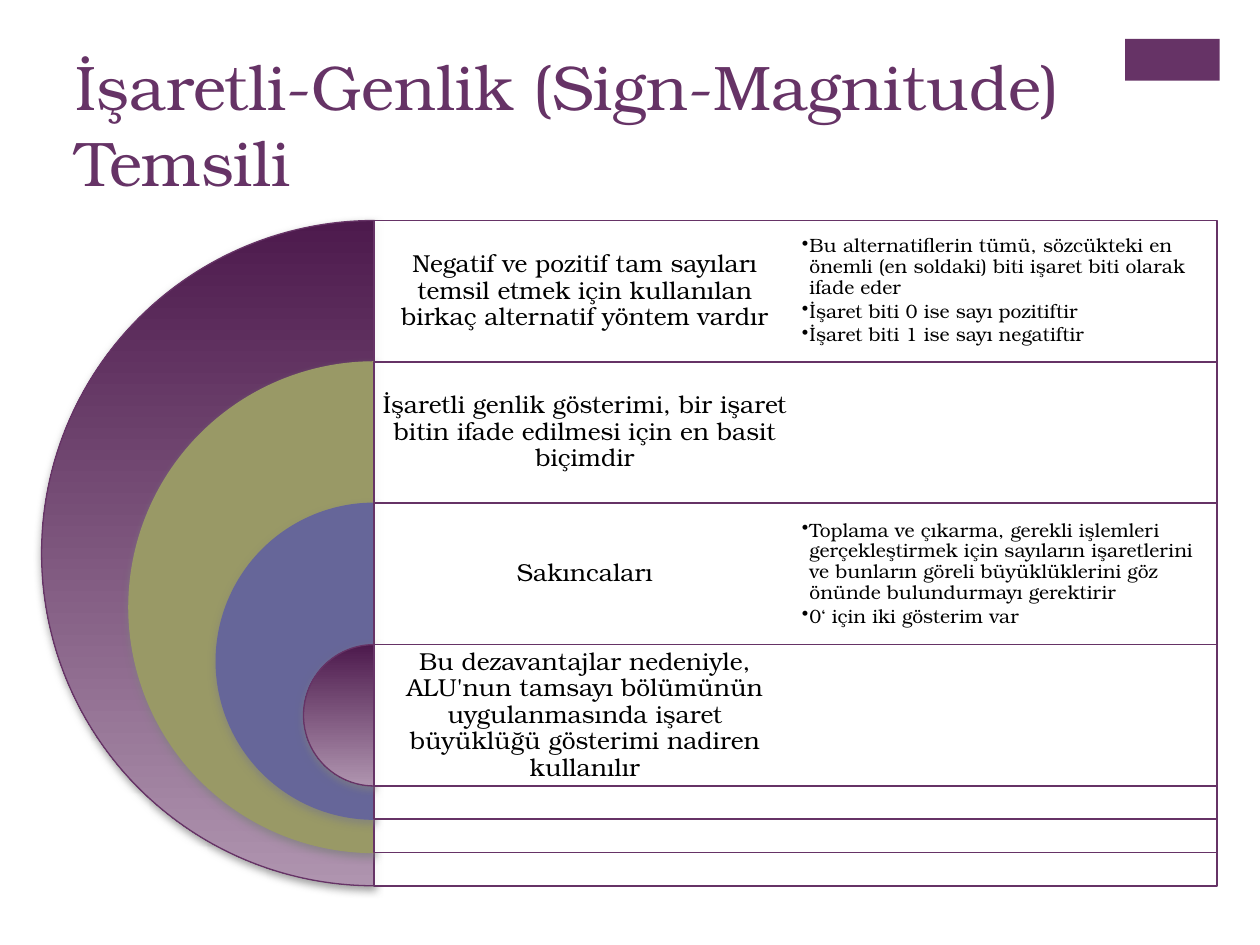
import dataclasses

import lxml.etree
import pptx
import pptx.dml.color
import pptx.enum.shapes
import pptx.enum.text
import pptx.oxml.ns
import pptx.util

Inches = pptx.util.Inches
Pt = pptx.util.Pt
SHAPE = pptx.enum.shapes.MSO_SHAPE
ALIGN = pptx.enum.text.PP_ALIGN
ANCHOR = pptx.enum.text.MSO_ANCHOR


@dataclasses.dataclass(frozen=True)
class Theme:
    face: str = "TeX Gyre Bonum"
    plum: str = "663366"
    dark: str = "4D1A4D"
    light: str = "AF94AF"
    olive: str = "999966"
    blue: str = "666699"
    white: str = "FFFFFF"
    black: str = "000000"
    shade: str = "808080"
    head: int = 36
    body: int = 14
    note: int = 11


@dataclasses.dataclass(frozen=True)
class Box:
    left: float
    top: float
    width: float
    height: float

    def place(self):
        return [Inches(n) for n in (self.left, self.top, self.width, self.height)]


THEME = Theme()
TITLE = "İşaretli-Genlik (Sign-Magnitude) Temsili"
ROWS = [
    ("Negatif ve pozitif tam sayıları temsil etmek için kullanılan birkaç alternatif yöntem vardır",
     ["Bu alternatiflerin tümü, sözcükteki en önemli (en soldaki) biti işaret biti olarak ifade eder",
      "İşaret biti 0 ise sayı pozitiftir",
      "İşaret biti 1 ise sayı negatiftir"], None),
    ("İşaretli genlik gösterimi, bir işaret bitin ifade edilmesi için en basit biçimdir",
     [], THEME.olive),
    ("Sakıncaları",
     ["Toplama ve çıkarma, gerekli işlemleri gerçekleştirmek için sayıların işaretlerini "
      "ve bunların göreli büyüklüklerini göz önünde bulundurmayı gerektirir",
      "0‘ için iki gösterim var"], THEME.blue),
    ("Bu dezavantajlar nedeniyle, ALU'nun tamsayı bölümünün uygulanmasında işaret "
     "büyüklüğü gösterimi nadiren kullanılır", [], None),
]


def rgb(code):
    return pptx.dml.color.RGBColor.from_string(code)


def add_node(parent, tag, **attrs):
    return lxml.etree.SubElement(parent, pptx.oxml.ns.qn(tag), attrs)


def add_shape(slide, kind, box, fill, line=None, width=1):
    shape = slide.shapes.add_shape(kind, *box.place())
    shape.shadow.inherit = False
    if fill:
        shape.fill.solid()
        shape.fill.fore_color.rgb = rgb(fill)
    else:
        shape.fill.gradient()
        shape.fill.gradient_angle = 270
        for stop, code in zip(shape.fill.gradient_stops, (THEME.dark, THEME.light)):
            stop.color.rgb = rgb(code)
    if line:
        shape.line.color.rgb = rgb(line)
        shape.line.width = Pt(width)
    else:
        shape.line.fill.background()
    return shape


def add_text(slide, box, lines, size, color, inset, anchor=ANCHOR.MIDDLE,
             align=ALIGN.LEFT, space=None, after=0, dots=False):
    frame = slide.shapes.add_textbox(*box.place()).text_frame
    frame.word_wrap = True
    frame.vertical_anchor = anchor
    frame.margin_left = frame.margin_right = Inches(inset[0])
    frame.margin_top = frame.margin_bottom = Inches(inset[1])
    frame.text = "\n".join(lines)
    for par in frame.paragraphs:
        if dots:
            par.level = 1
            props = par._p.get_or_add_pPr()
            props.set("marL", str(Inches(0.06)))
            props.set("indent", str(Inches(-0.06)))
            add_node(props, "a:buChar", char="•")
        par.alignment = align
        par.line_spacing = space
        par.space_after = Pt(after)
        par.font.name = THEME.face
        par.font.size = Pt(size)
        par.font.color.rgb = rgb(color)


def add_head(slide, box):
    add_text(slide, box, [TITLE], THEME.head, THEME.plum, (0.1, 0.05), ANCHOR.TOP)


def add_ring(slide, box, fill):
    ring = add_shape(slide, SHAPE.PIE, box, fill, fill or THEME.plum, 0.75)
    ring.adjustments[0] = 54
    ring.adjustments[1] = 162
    effects = ring._element.spPr.find(pptx.oxml.ns.qn("a:effectLst"))
    shadow = add_node(effects, "a:outerShdw", blurRad=str(Pt(5)), dist=str(Pt(2)),
                      dir="5400000", rotWithShape="0")
    color = add_node(shadow, "a:srgbClr", val=THEME.shade)
    add_node(color, "a:alpha", val="75000")


def add_panel(slide, box):
    panel = add_shape(slide, SHAPE.RECTANGLE, box, THEME.white, THEME.plum)
    color = panel._element.spPr.find(".//" + pptx.oxml.ns.qn("a:srgbClr"))
    add_node(color, "a:alpha", val="90000")


def add_target(slide, box):
    step = box.height * 17 / 80
    shrink = (box.height - step) / (len(ROWS) - 1)
    axis = box.left + box.height / 2
    wide = box.left + box.width - axis
    half = wide / 2
    for row, (label, notes, fill) in enumerate(ROWS):
        top = box.top + row * step
        size = box.height - row * shrink
        add_ring(slide, Box(axis - size / 2, top, size, size), fill)
        add_panel(slide, Box(axis, top, wide, size))
        add_text(slide, Box(axis, top, half, step), [label], THEME.body, THEME.black,
                 (0.06, 0.06), align=ALIGN.CENTER, space=0.9, after=4.9)
        if notes:
            add_text(slide, Box(axis + half, top, half, step), notes, THEME.note,
                     THEME.black, (0.05, 0.05), space=0.9, after=1.65, dots=True)


def main():
    deck = pptx.Presentation()
    deck.slide_width = Inches(10)
    deck.slide_height = Inches(7.5)
    slide = deck.slides.add_slide(deck.slide_layouts[6])
    add_shape(slide, SHAPE.RECTANGLE, Box(8.93, 0.31, 0.75, 0.33), THEME.plum)
    add_head(slide, Box(0.5, 0.33, 8.26, 1.22))
    add_target(slide, Box(0.33, 1.75, 9.33, 5.28))
    deck.save("out.pptx")


if __name__ == "__main__":
    main()
